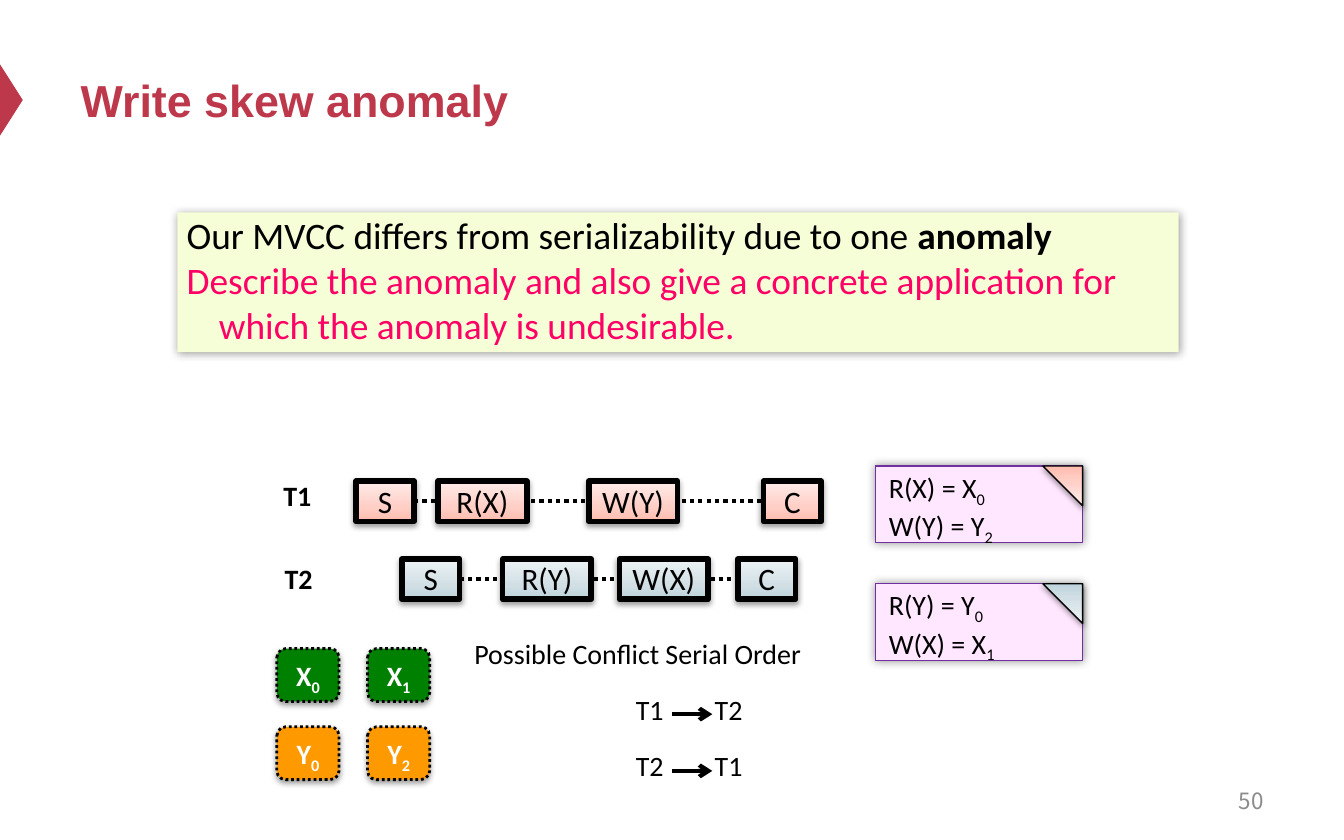
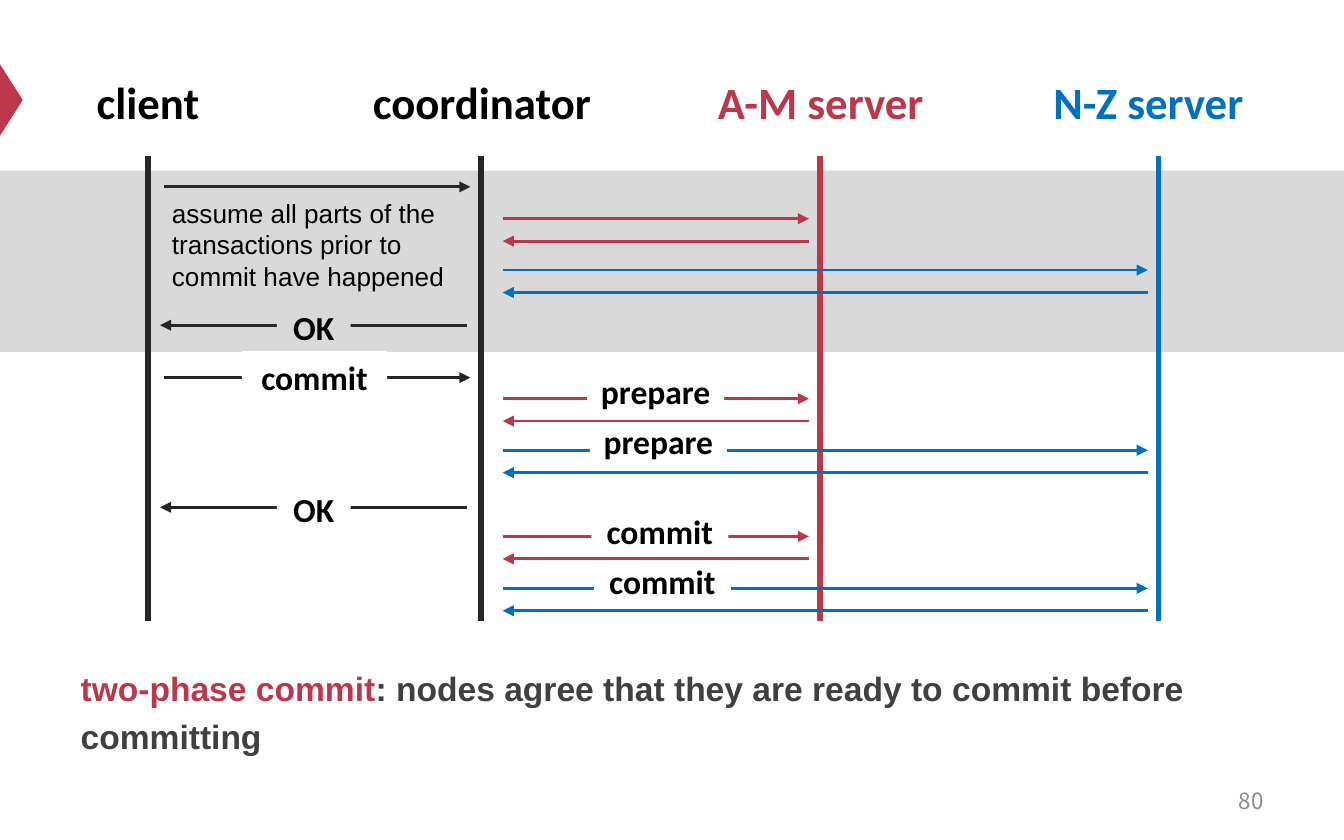
from copy import deepcopy

from lxml import etree
from pptx import Presentation
from pptx.dml.color import RGBColor
from pptx.enum.dml import MSO_LINE
from pptx.enum.shapes import MSO_CONNECTOR, MSO_SHAPE
from pptx.enum.text import MSO_ANCHOR, MSO_AUTO_SIZE, PP_ALIGN
from pptx.oxml.ns import qn
from pptx.util import Pt

RECT, ROUNDED = MSO_SHAPE.RECTANGLE, MSO_SHAPE.ROUNDED_RECTANGLE
TRIANGLE, CORNER = MSO_SHAPE.ISOSCELES_TRIANGLE, MSO_SHAPE.RIGHT_TRIANGLE
STRAIGHT, DOTS = MSO_CONNECTOR.STRAIGHT, MSO_LINE.ROUND_DOT
TOP, MIDDLE = MSO_ANCHOR.TOP, MSO_ANCHOR.MIDDLE
LEFT, CENTER, RIGHT = PP_ALIGN.LEFT, PP_ALIGN.CENTER, PP_ALIGN.RIGHT
FIXED, GROW = MSO_AUTO_SIZE.NONE, MSO_AUTO_SIZE.SHAPE_TO_FIT_TEXT
TITLE_ONLY, TITLE_AND_BODY = 5, 1
LEFT_SIDE, RIGHT_SIDE = 1, 3


def rgb(value):
    return RGBColor.from_string(value)


def font(name, size, color, bold=False):
    return {"name": name, "size": Pt(size), "color": rgb(color), "bold": bold}


class Theme:
    accent, red, blue = rgb("BE384B"), rgb("BD374B"), rgb("0070C0")
    ink, black, white = rgb("262626"), rgb("000000"), rgb("FFFFFF")
    band, callout, pink = rgb("D9D9D9"), rgb("F5FED6"), rgb("FF0066")
    note, note_edge = rgb("FFE7FF"), rgb("7030A0")
    green, orange = rgb("008000"), rgb("FF9900")
    warm = [rgb(c) for c in ("FFBBAE", "FFCEC5", "FFECE9")]
    cool = [rgb(c) for c in ("BDD3DB", "D1DFE5", "EDF3F5")]
    stops = (0, 0.35, 1)
    # Type
    title = font("Arial", 24, "BE384B", True)
    summary = font("Arial", 18, "404040", True)
    remark = font("Arial", 14, "000000")
    number = font("Noto Sans CJK SC", 12, "8C8C8C")
    lead = font("Calibri", 20, "000000")
    step = font("Calibri", 16.7, "000000")
    small = font("Calibri", 15, "000000")
    small_bold = font("Calibri", 15, "000000", True)
    version = font("Calibri", 15, "FFFFFF", True)
    lane = font("Calibri", 24, "000000", True)
    message = font("Calibri", 18, "000000", True)
    # Shadows: opacity %, blur, distance, direction in degrees
    glow, drop = (40, 5, 0, 0), (38, 3.1, 1.6, 90)


def apply(target, values):
    for key, value in values.items():
        setattr(target, key, value)


def margins(left, top, right, bottom):
    return {"margin_left": Pt(left), "margin_top": Pt(top),
            "margin_right": Pt(right), "margin_bottom": Pt(bottom)}


def indexed(text, index):
    return [(text, {}), (index, {"sub": True})]


FRAME = {**margins(7.2, 3.6, 7.2, 3.6), "word_wrap": True,
         "vertical_anchor": TOP, "auto_size": FIXED}
GROWING = {"auto_size": GROW}
ONE_LINE = {"auto_size": GROW, "word_wrap": False}
HANGING = (28.8, -25.2)


class Deck:
    def __init__(self, theme, width, height):
        self.theme = theme
        self.file = Presentation()
        apply(self.file, {"slide_width": Pt(width), "slide_height": Pt(height)})
        self.slide = None

    def start(self, layout, number):
        self.slide = self.file.slides.add_slide(self.file.slide_layouts[layout])
        marker = self.shape(TRIANGLE, (-13, 47.5, 38.2, 12.2), self.theme.accent)
        marker.rotation = 90
        self.text((516.2, 416.9, 167.8, 23.8), [number], self.theme.number,
                  {"vertical_anchor": MIDDLE}, {"alignment": RIGHT})

    def set_text(self, frame, paragraphs, style, box=None, para=None, hang=None):
        apply(frame, {**FRAME, **(box or {})})
        for i, runs in enumerate(paragraphs):
            paragraph = frame.add_paragraph() if i else frame.paragraphs[0]
            if hang:
                props = paragraph._p.get_or_add_pPr()
                props.set("marL", str(Pt(hang[0])))
                props.set("indent", str(Pt(hang[1])))
                etree.SubElement(props, qn("a:buNone"))
            apply(paragraph, {"alignment": LEFT, **(para or {})})
            for words, changes in [(runs, {})] if isinstance(runs, str) else runs:
                run = paragraph.add_run()
                run.text = words
                look = {**style, **changes}
                run.font.color.rgb = look.pop("color")
                if look.pop("sub", False):
                    run._r.get_or_add_rPr().set("baseline", "-25000")
                apply(run.font, look)

    def text(self, place, paragraphs, style, box=None, para=None, hang=None):
        area = self.slide.shapes.add_textbox(*map(Pt, place))
        self.set_text(area.text_frame, paragraphs, style, box, para, hang)

    def placeholder(self, index, place, *content):
        holder = self.slide.placeholders[index]
        apply(holder, dict(zip(("left", "top", "width", "height"), map(Pt, place))))
        self.set_text(holder.text_frame, *content)

    def drop_title(self):
        title = self.slide.shapes.title.element
        title.getparent().remove(title)

    def shape(self, kind, place, fill, edge=None, weight=0, shadow=None, dash=None):
        shape = self.slide.shapes.add_shape(kind, *map(Pt, place))
        props = shape.element.spPr
        # Fill: a list of colours is a vertical gradient
        if isinstance(fill, list):
            shape.fill.gradient()
            shape.fill.gradient_angle = 90
            stops = props.find(qn("a:gradFill")).find(qn("a:gsLst"))
            stops.append(deepcopy(stops[0]))
            for stop, color, position in zip(shape.fill.gradient_stops, fill,
                                             self.theme.stops):
                stop.color.rgb = color
                stop.position = position
        else:
            shape.fill.solid()
            shape.fill.fore_color.rgb = fill
        # Outline
        if edge is None:
            shape.line.fill.background()
        else:
            shape.line.color.rgb = edge
            apply(shape.line, {"width": Pt(weight), "dash_style": dash})
        # Shadow
        shape.shadow.inherit = False
        if shadow:
            opacity, blur, distance, direction = shadow
            outer = etree.SubElement(
                props.find(qn("a:effectLst")), qn("a:outerShdw"),
                blurRad=str(Pt(blur)), dist=str(Pt(distance)),
                dir=str(direction * 60000), rotWithShape="0")
            color = etree.SubElement(outer, qn("a:srgbClr"), val="000000")
            etree.SubElement(color, qn("a:alpha"), val=str(opacity * 1000))
        return shape

    def line(self, start, end, color, weight, dash=None, head=None, tail=None):
        line = self.slide.shapes.add_connector(STRAIGHT, *map(Pt, (*start, *end)))
        line.line.color.rgb = color
        apply(line.line, {"width": Pt(weight), "dash_style": dash})
        props = line.element.spPr
        for tag, kind in (("a:headEnd", head), ("a:tailEnd", tail)):
            if kind:
                etree.SubElement(props.find(qn("a:ln")), qn(tag), type=kind)
        etree.SubElement(props, qn("a:effectLst"))
        return line


def skew_anomaly(deck):
    theme = deck.theme
    deck.start(TITLE_ONLY, "50")
    deck.placeholder(0, (36, 18, 648, 70.6), ["Write skew anomaly"], theme.title,
                     {"vertical_anchor": MIDDLE})

    # Question
    question = deck.shape(RECT, (95, 113.8, 536.4, 74.9), theme.callout,
                          shadow=theme.glow)
    deck.set_text(question.text_frame, [
        [("Our MVCC differs from serializability due to one ", {}),
         ("anomaly", {"bold": True})],
        [("Describe the anomaly and also give a concrete application for which "
          "the anomaly is undesirable.", {"color": theme.pink})],
    ], theme.lead, {**margins(5, 0, 5, 2.2), **GROWING}, hang=(17.3, -17.3))

    # Schedules: start, commit, read and write of each transaction
    warm_box, cool_box = margins(7.2, 2.2, 7.2, 2.2), margins(5.8, 2.2, 5.8, 0)
    schedules = [
        ("T1", (144.7, 252.7), 257.8, theme.warm, warm_box, 1.0,
         [("S", 190.8), ("C", 409), ("R(X)", 234.7), ("W(Y)", 315.4)]),
        ("T2", (145.4, 297.4), 299.5, theme.cool, cool_box, 0.8,
         [("S", 215.3), ("C", 395.3), ("R(Y)", 269.3), ("W(X)", 331.9)]),
    ]
    for name, corner, top, tint, box, spacing, steps in schedules:
        deck.text((*corner, 35.3, 25.2), [name], theme.small_bold, GROWING)
        ends = []
        for action, left in steps:
            width = 31 if len(action) == 1 else 47.5
            step = deck.shape(RECT, (left, top, width, 21.6), tint, theme.black, 3,
                              theme.drop)
            deck.set_text(step.text_frame, [action], theme.step,
                          {**box, "word_wrap": False, "vertical_anchor": MIDDLE},
                          {"alignment": CENTER, "line_spacing": spacing})
            ends.append(step)
            if action == "C":
                span = deck.line((0, 0), (1, 1), theme.black, 2.25, DOTS)
                span.begin_connect(ends[0], RIGHT_SIDE)
                span.end_connect(step, LEFT_SIDE)

    # Versions of each item
    for row, (item, fill, indexes) in enumerate(
            [("X", theme.green, "01"), ("Y", theme.orange, "02")]):
        for column, index in enumerate(indexes):
            place = (148.3 + 48.6 * column, 347.5 + 41.9 * row, 33.3, 28.3)
            version = deck.shape(ROUNDED, place, fill, theme.black, 1.5,
                                 theme.drop, DOTS)
            deck.set_text(version.text_frame, [indexed(item, index)], theme.version,
                          {**margins(0, 2.2, 0, 0), "word_wrap": False,
                           "vertical_anchor": MIDDLE},
                          {"alignment": CENTER, "line_spacing": 0.8})

    # Notes on what was read and written
    notes = [
        (249.6, theme.warm, [indexed("R(X) = X", "0"), indexed("W(Y) = Y", "2")]),
        (312.7, theme.cool, [indexed("R(Y) = Y", "0"), indexed("W(X) = X", "1")]),
    ]
    for top, tint, effects in notes:
        note = deck.shape(RECT, (469.1, top, 110.9, 41.2), theme.note,
                          theme.note_edge, 0.75, theme.glow)
        deck.set_text(note.text_frame, effects, theme.small,
                      {**margins(7.2, 2.2, 7.2, 2.2), **GROWING}, hang=(11.5, -11.5))
        fold = deck.shape(CORNER, (558.7, top, 21.3, 21.3), tint, theme.black,
                          0.75, theme.drop)
        fold.rotation = 180

    # Serial orders
    deck.text((243.4, 337.7, 208.8, 25.2), ["Possible Conflict Serial Order"],
              theme.small, ONE_LINE, hang=HANGING)
    for top, first, second in ((367.2, "T1", "T2"), (397.6, "T2", "T1")):
        deck.text((332.6, top, 31, 25.2), [first], theme.small, ONE_LINE,
                  {"alignment": CENTER})
        deck.text((372.2, top, 35.3, 25.2), [second], theme.small, ONE_LINE,
                  hang=HANGING)
        deck.line((360, top + 15.4), (381.6, top + 15.4), theme.black, 2.25,
                  tail="arrow")


def two_phase_commit(deck):
    theme = deck.theme
    deck.start(TITLE_AND_BODY, "80")
    deck.drop_title()
    deck.placeholder(1, (36, 349.9, 648, 85), [
        [("two-phase commit", {"color": theme.red}),
         (": nodes agree that they are ready to commit before committing", {})],
    ], theme.summary, None, {"line_spacing": 1.2, "space_before": Pt(0)}, (0, 0))
    deck.shape(RECT, (0, 91.4, 720, 97.2), theme.band)

    # Lanes
    lanes = [
        ("client", 79.2, 36.7, 85, theme.black, theme.ink),
        ("coordinator", 257.8, 184.3, 147.6, theme.black, theme.ink),
        ("A-M server", 439.2, 365.8, 147.6, theme.red, theme.red),
        ("N-Z server", 620.6, 541.4, 147.6, theme.blue, theme.blue),
    ]
    for name, x, left, width, color, stroke in lanes:
        deck.text((left, 36.7, width, 36.4), [name], {**theme.lane, "color": color},
                  GROWING, {"alignment": CENTER})
        deck.line((x, 83.5), (x, 332.6), stroke, 3)

    # Messages
    def send(route, y, back=False):
        left, right, color = route
        deck.line((left, y), (right, y), color, 1.5,
                  **{"head" if back else "tail": "triangle"})

    def label(words, left, top, width, fill=theme.white):
        tag = deck.shape(RECT, (left, top, width, 29.1), fill)
        deck.set_text(tag.text_frame, [words], theme.message, GROWING,
                      {"alignment": CENTER})

    ask, answer = (87.8, 252, theme.ink), (85.7, 250, theme.ink)
    near, far = (269.3, 433.4, theme.red), (269.3, 614.9, theme.blue)

    # Client and coordinator
    send(ask, 100.1)
    deck.text((85, 102.2, 172.8, 58.3),
              ["assume all parts of the transactions prior to",
               "commit have happened"], theme.remark, GROWING)
    for y, top, fill in ((174.2, 160.6, theme.band), (271.8, 258.5, theme.white)):
        send(answer, y, back=True)
        label("OK", 148.3, top, 39.6, fill)
    send(ask, 202.3)
    label("commit", 129.6, 187.9, 77.8)

    # Coordinator and servers: a request and a reply with each, per round
    rounds = [
        (117.2, 144.7, None, 0, 0),
        (213.6, 241.2, "prepare", 314.6, 195.1),
        (287.4, 315.2, "commit", 316.8, 270),
    ]
    for near_y, far_y, words, left, top in rounds:
        for route, y, shift, drop in ((near, near_y, 0, 0), (far, far_y, 1.4, 26.7)):
            send(route, y)
            if words:
                label(words, left + shift, top + drop, 73.4)
        for route, y in ((near, near_y), (far, far_y)):
            send(route, y + 12, back=True)


def main():
    deck = Deck(Theme(), 720, 450)
    skew_anomaly(deck)
    two_phase_commit(deck)
    deck.file.save("out.pptx")


if __name__ == "__main__":
    main()
